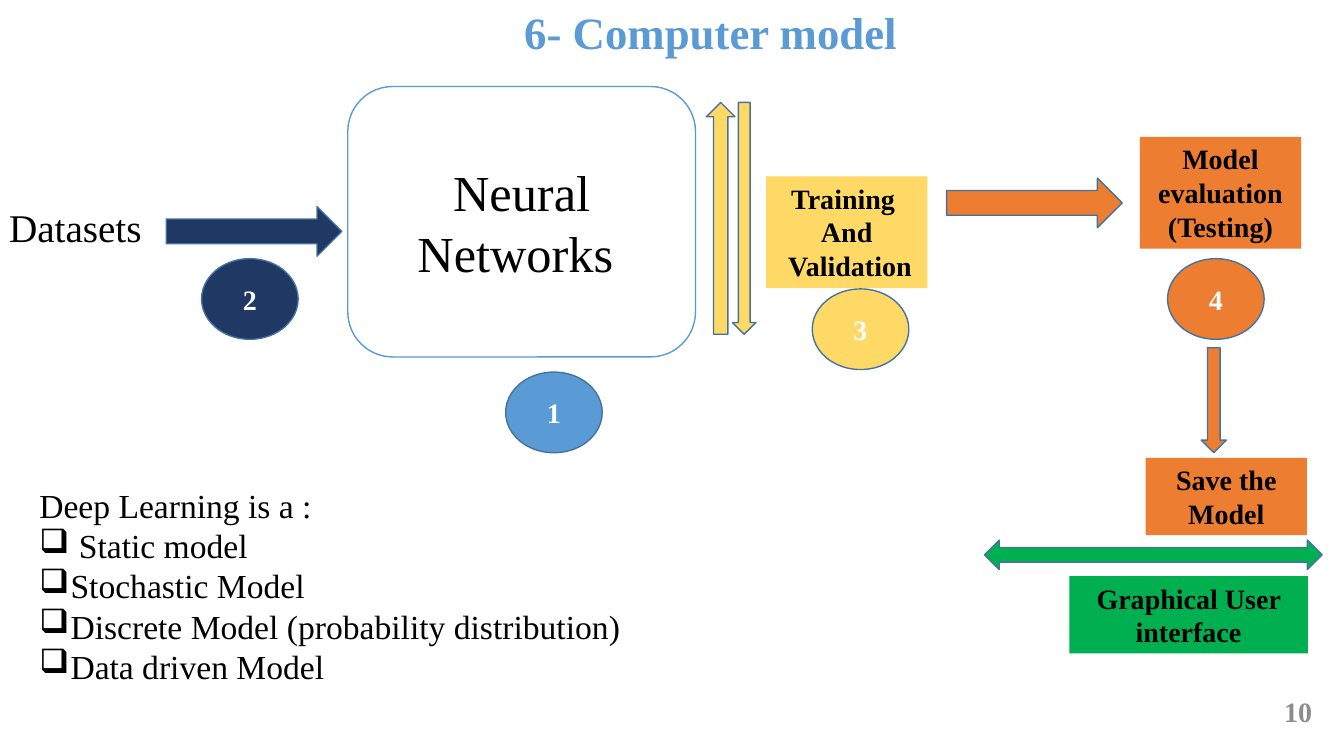
from lxml import etree
from pptx import Presentation
from pptx.dml.color import RGBColor
from pptx.enum.shapes import MSO_SHAPE
from pptx.enum.text import MSO_ANCHOR, MSO_AUTO_SIZE, PP_ALIGN
from pptx.oxml.ns import qn
from pptx.util import Emu, Inches, Pt

ROUNDED, RECTANGLE, OVAL = MSO_SHAPE.ROUNDED_RECTANGLE, MSO_SHAPE.RECTANGLE, MSO_SHAPE.OVAL
RIGHT_ARROW, UP_ARROW = MSO_SHAPE.RIGHT_ARROW, MSO_SHAPE.UP_ARROW
DOWN_ARROW, TWO_WAY_ARROW = MSO_SHAPE.DOWN_ARROW, MSO_SHAPE.LEFT_RIGHT_ARROW
LEFT, CENTER, RIGHT = PP_ALIGN.LEFT, PP_ALIGN.CENTER, PP_ALIGN.RIGHT
TOP, MIDDLE = MSO_ANCHOR.TOP, MSO_ANCHOR.MIDDLE

BLACK = RGBColor(0x00, 0x00, 0x00)
WHITE = RGBColor(0xFF, 0xFF, 0xFF)
GRAY = RGBColor(0x8C, 0x8C, 0x8C)
BLUE = RGBColor(0x5B, 0x9B, 0xD5)
NAVY = RGBColor(0x20, 0x38, 0x64)
YELLOW = RGBColor(0xFF, 0xD9, 0x66)
ORANGE = RGBColor(0xED, 0x7D, 0x31)
GREEN = RGBColor(0x00, 0xB0, 0x50)
OUTLINE = RGBColor(0x43, 0x73, 0x9E)

FONT = "Times New Roman"
SLIDE_WIDTH, SLIDE_HEIGHT = Emu(12192000), Inches(7.5)
COLUMN, ROW = SLIDE_WIDTH / 160, SLIDE_HEIGHT / 90

STEP_SIZE = (11.5, 9.6)
FLOW_ARROW_SIZE = (20.9, 5.9)
STAGE_WIDTH = 19.2


def grid(left, top, width, height):
    return [Emu(round(n * unit)) for n, unit in
            ((left, COLUMN), (top, ROW), (width, COLUMN), (height, ROW))]


def write(frame, lines, size, color=BLACK, bold=False, align=LEFT, anchor=TOP):
    frame.word_wrap = True
    frame.auto_size = MSO_AUTO_SIZE.NONE
    frame.vertical_anchor = anchor
    for index, line in enumerate(lines):
        paragraph = frame.paragraphs[0] if index == 0 else frame.add_paragraph()
        paragraph.text = line
        paragraph.alignment = align
        font = paragraph.font
        font.name, font.size, font.bold = FONT, Pt(size), bold
        font.color.rgb = color


def add_title(slide, text, area):
    title = slide.shapes.title
    title.left, title.top, title.width, title.height = grid(*area)
    write(title.text_frame, [text], 32, BLUE, True, CENTER)


def add_label(slide, area, lines, size, **style):
    label = slide.shapes.add_textbox(*grid(*area))
    write(label.text_frame, lines, size, **style)
    return label


def add_block(slide, kind, area, fill, outline=OUTLINE):
    block = slide.shapes.add_shape(kind, *grid(*area))
    block.shadow.inherit = False
    block.fill.solid()
    block.fill.fore_color.rgb = fill
    if outline is None:
        block.line.fill.background()
    else:
        block.line.color.rgb = outline
        block.line.width = Pt(1)
    return block


def add_stage(slide, area, lines, fill):
    stage = add_block(slide, RECTANGLE, area, fill, None)
    write(stage.text_frame, lines, 20, bold=True, align=CENTER)


def add_step(slide, number, left, top, fill):
    step = add_block(slide, OVAL, (left, top, *STEP_SIZE), fill)
    write(step.text_frame, [number], 20, WHITE, True, CENTER, MIDDLE)


def add_bullet(paragraph):
    properties = paragraph._p.get_or_add_pPr()
    indent = Inches(0.31)
    properties.set("marL", str(indent))
    properties.set("indent", str(-indent))
    etree.SubElement(properties, qn("a:buChar")).set("char", "❑")


def add_model_kinds(slide):
    kinds = add_label(slide, (3.5, 57.1, 75.8, 25.4), [
        "Deep Learning is a :",
        " Static model",
        "Stochastic Model",
        "Discrete Model (probability distribution)",
        "Data driven Model",
    ], 24)
    for paragraph in kinds.text_frame.paragraphs[1:]:
        # bullets follow the heading
        add_bullet(paragraph)


def main():
    deck = Presentation()
    deck.slide_width, deck.slide_height = SLIDE_WIDTH, SLIDE_HEIGHT
    slide = deck.slides.add_slide(deck.slide_layouts[5])

    add_title(slide, "6- Computer model", (34.6, 0, 100, 7.7))
    add_label(slide, (151.2, 81.7, 6.2, 6), ["10"], 20,
              color=GRAY, bold=True, align=RIGHT, anchor=MIDDLE)

    network = add_block(slide, ROUNDED, (41.4, 10.3, 41.4, 32.2), WHITE, BLUE)
    write(network.text_frame, ["Neural Networks "], 36, align=CENTER, anchor=MIDDLE)
    add_label(slide, (-0.1, 23.6, 19.9, 6.8), ["Datasets"], 28)

    for kind, area, fill in (
        (RIGHT_ARROW, (19.8, 24.6, *FLOW_ARROW_SIZE), NAVY),
        (UP_ARROW, (84.1, 12.2, 3.4, 27.6), YELLOW),
        (DOWN_ARROW, (87.2, 12.2, 2.8, 27.6), YELLOW),
        (RIGHT_ARROW, (112.7, 21.2, *FLOW_ARROW_SIZE), ORANGE),
        (DOWN_ARROW, (143, 41.4, 3, 12.5), ORANGE),
        (TWO_WAY_ARROW, (117.2, 64.3, 40.2, 3.5), GREEN),
    ):
        add_block(slide, kind, area, fill)

    for area, lines, fill in (
        ((91.2, 21, STAGE_WIDTH, 13.3), ["Training ", "And", " Validation"], YELLOW),
        ((135.7, 16.3, STAGE_WIDTH, 13.3), ["Model evaluation", "(Testing)"], ORANGE),
        ((136.4, 54.5, STAGE_WIDTH, 9.2), ["Save the Model"], ORANGE),
        ((127.3, 68.6, 28.4, 9.2), ["Graphical User interface"], GREEN),
    ):
        add_stage(slide, area, lines, fill)

    for number, left, top, fill in (
        ("1", 60.2, 44.3, BLUE),
        ("2", 24, 30.8, NAVY),
        ("3", 96.7, 34.4, YELLOW),
        ("4", 139, 30.8, ORANGE),
    ):
        add_step(slide, number, left, top, fill)

    add_model_kinds(slide)
    deck.save("out.pptx")


if __name__ == "__main__":
    main()
